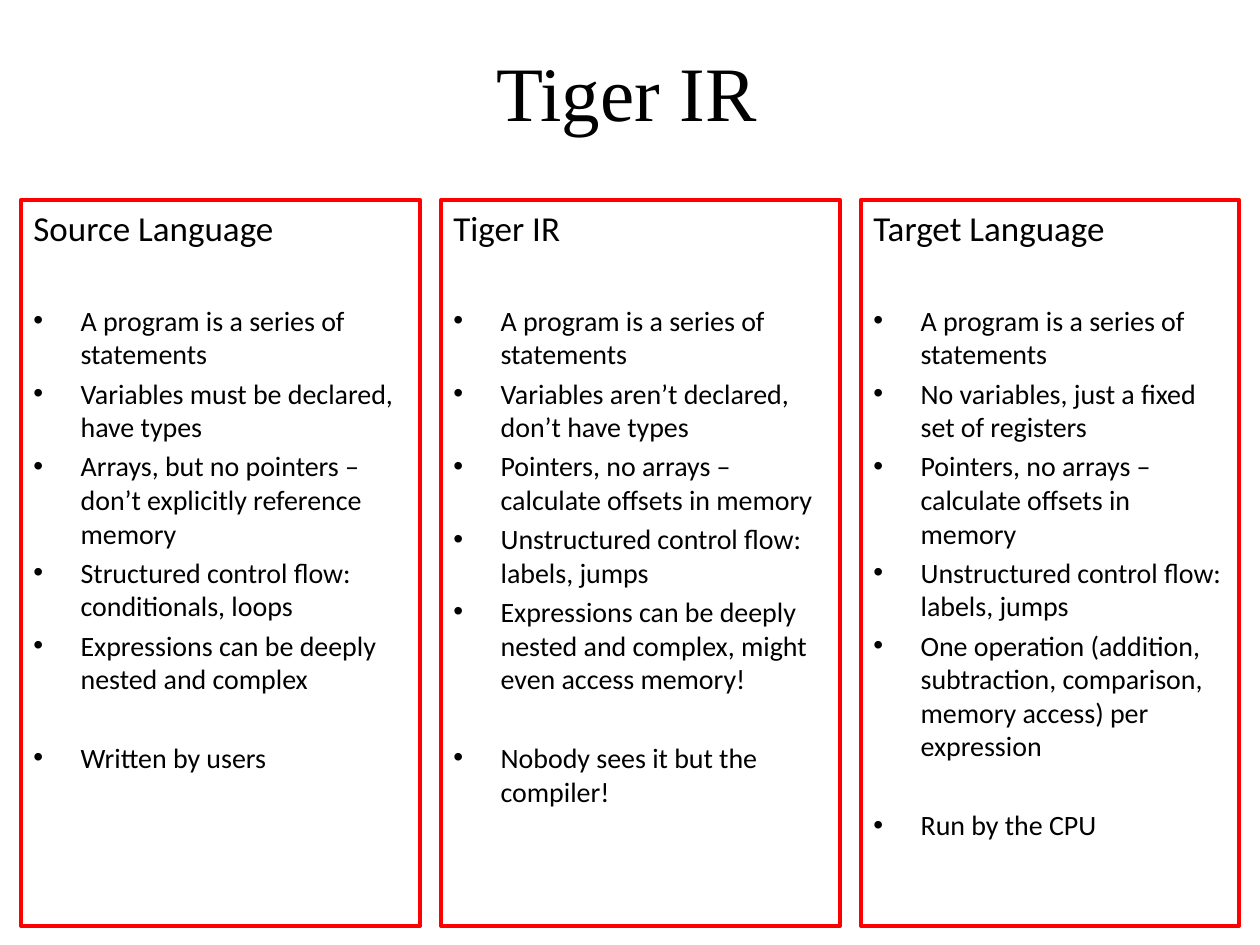
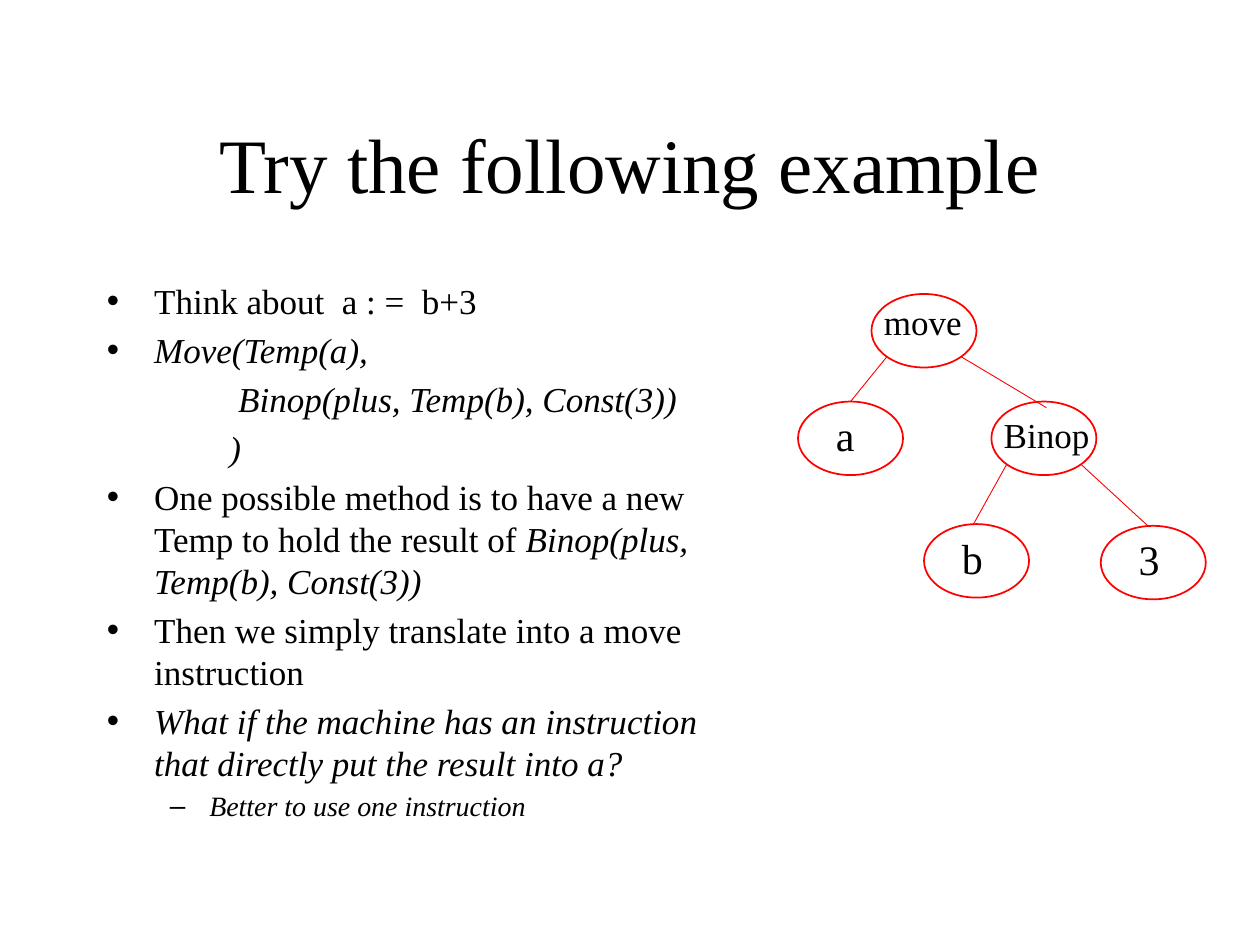
from dataclasses import dataclass

from lxml import etree
from pptx import Presentation
from pptx.dml.color import RGBColor
from pptx.enum import shapes, text
from pptx.oxml import ns
from pptx.util import Pt


@dataclass(frozen=True)
class Theme:
    ink: RGBColor = RGBColor(0, 0, 0)
    accent: RGBColor = RGBColor(255, 0, 0)
    serif: str = "Times New Roman"
    sans: str = "Calibri"
    title_size: int = 44
    letter_size: int = 24
    body_size: int = 20
    small_size: int = 16
    frame_width: float = 2.25
    oval_width: float = 1
    edge_width: float = 0.5


@dataclass(frozen=True)
class Line:
    """One paragraph; parts between asterisks are italic."""
    content: str
    size: int
    bullet: str = ""
    margin: float = 0
    hanging: float = 0
    before: float = 0


THEME = Theme()
OVAL_WIDTH, OVAL_HEIGHT = 60, 42


class SlideBuilder:
    def __init__(self, presentation, theme):
        self.presentation = presentation
        self.theme = theme
        self.slide = None

    def new_slide(self, title, left, top):
        self.slide = self.presentation.slides.add_slide(self.presentation.slide_layouts[6])
        frame = self.text_box(left, top, 612, 90)
        frame.vertical_anchor = text.MSO_ANCHOR.MIDDLE
        self.fill_text(frame, [Line(title, self.theme.title_size)], self.theme.serif)
        frame.paragraphs[0].alignment = text.PP_ALIGN.CENTER

    def text_box(self, left, top, width, height, wrap=True):
        box = self.slide.shapes.add_textbox(Pt(left), Pt(top), Pt(width), Pt(height))
        box.text_frame.word_wrap = wrap
        return box.text_frame

    def outline(self, kind, left, top, width, height, line_width):
        shape = self.slide.shapes.add_shape(kind, Pt(left), Pt(top), Pt(width), Pt(height))
        shape.shadow.inherit = False
        shape.fill.background()
        shape.line.color.rgb = self.theme.accent
        shape.line.width = Pt(line_width)
        return shape

    def fill_text(self, frame, lines, font_name, leading=None):
        """Fill a text frame; leading is the line height as a multiple of the type size."""
        for index, line in enumerate(lines):
            paragraph = frame.add_paragraph() if index else frame.paragraphs[0]
            paragraph.alignment = text.PP_ALIGN.LEFT
            paragraph.space_before = Pt(line.before)
            if leading:
                paragraph.line_spacing = Pt(leading * line.size)
            self.indent(paragraph, line)
            for position, part in enumerate(line.content.split("*")):
                if not part:
                    continue
                run = paragraph.add_run()
                run.text = part
                run.font.name = font_name
                run.font.size = Pt(line.size)
                run.font.italic = position % 2 == 1
                run.font.color.rgb = self.theme.ink

    def indent(self, paragraph, line):
        properties = paragraph._p.get_or_add_pPr()
        properties.set("marL", str(Pt(line.margin)))
        properties.set("indent", str(-Pt(line.hanging)))
        if line.bullet:
            etree.SubElement(properties, ns.qn("a:buFont")).set("typeface", "Arial")
            etree.SubElement(properties, ns.qn("a:buChar")).set("char", line.bullet)

    def column(self, left, width, heading, points, closing):
        """Framed list with a heading and a closing point set apart from the rest."""
        shape = self.outline(shapes.MSO_SHAPE.RECTANGLE, left, 114.25, width, 415,
                             self.theme.frame_width)
        shape.text_frame.word_wrap = True
        shape.text_frame.vertical_anchor = text.MSO_ANCHOR.TOP
        gaps = [31.6] + [3.2] * (len(points) - 1) + [25.9]
        lines = [Line(heading, self.theme.body_size)]
        lines += [bullet(point, self.theme.small_size, gap)
                  for point, gap in zip(points + [closing], gaps)]
        self.fill_text(shape.text_frame, lines, self.theme.sans)

    def node(self, label, left, top, size, label_box):
        """Tree node; label_box is the label's offset and size within the oval."""
        self.outline(shapes.MSO_SHAPE.OVAL, left, top, OVAL_WIDTH, OVAL_HEIGHT,
                     self.theme.oval_width)
        shift_x, shift_y, width, height = label_box
        frame = self.text_box(left + shift_x, top + shift_y, width, height, wrap=False)
        self.fill_text(frame, [Line(label, size)], self.theme.serif, 1.2)

    def edge(self, start, end):
        connector = self.slide.shapes.add_connector(
            shapes.MSO_CONNECTOR.STRAIGHT, *(Pt(value) for value in (*start, *end)))
        connector.line.color.rgb = self.theme.accent
        connector.line.width = Pt(self.theme.edge_width)
        etree.SubElement(connector._element.spPr, ns.qn("a:effectLst"))


def bullet(content, size, before=4):
    return Line(content, size, "•", 27, 27, before)


def lower_corner(left, top, side):
    """Point on an oval's outline at its lower left (-1) or lower right (1) diagonal."""
    reach = 0.5 ** 0.5
    return (left + OVAL_WIDTH / 2 * (1 + side * reach), top + OVAL_HEIGHT / 2 * (1 + reach))


def build_comparison(builder):
    builder.new_slide("Tiger IR", 52, 7)
    columns = [
        (228, "Source Language", [
            "A program is a series of statements",
            "Variables must be declared, have types",
            "Arrays, but no pointers – don’t explicitly reference memory",
            "Structured control flow: conditionals, loops",
            "Expressions can be deeply nested and complex",
        ], "Written by users"),
        (228, "Tiger IR", [
            "A program is a series of statements",
            "Variables aren’t declared, don’t have types",
            "Pointers, no arrays – calculate offsets in memory",
            "Unstructured control flow: labels, jumps",
            "Expressions can be deeply nested and complex, might even access memory!",
        ], "Nobody sees it but the compiler!"),
        (216, "Target Language", [
            "A program is a series of statements",
            "No variables, just a fixed set of registers",
            "Pointers, no arrays – calculate offsets in memory",
            "Unstructured control flow: labels, jumps",
            "One operation (addition, subtraction, comparison, memory access) per expression",
        ], "Run by the CPU"),
    ]
    for index, column in enumerate(columns):
        builder.column(12 + 240 * index, *column)


def build_example(builder):
    theme = builder.theme
    size = theme.body_size
    builder.new_slide("Try the following example", 54, 48)
    lines = [
        bullet("Think about  a : =  b+3", size, 0),
        bullet("*Move(Temp(a),*", size),
        Line("*Binop(plus, Temp(b), Const(3))*", size, margin=75, before=4),
        Line("*)*", size, margin=70, before=4),
        bullet("One possible method is to have a new Temp to hold the result of "
               "*Binop(plus, Temp(b), Const(3))*", size),
        bullet("Then we simply translate into a move instruction", size),
        bullet("*What if the machine has an instruction that directly put the result "
               "into a?*", size),
        Line("*Better to use one instruction*", theme.small_size, "–", 58.5, 22.5, 3.2),
    ]
    builder.fill_text(builder.text_box(54, 156, 384, 324), lines, theme.serif, 1.2)

    move, binop = (498, 168), (566.5, 229.5)
    letter_box = (14.5, 1, 26, 36)
    builder.node("move", *move, size, (0, 0, 59, 32))
    builder.node("a", 456, 229.5, theme.letter_size, letter_box)
    builder.node("Binop", *binop, size, (0, 3.5, 64, 32))
    builder.node("b", 528, 299.5, theme.letter_size, letter_box)
    builder.node("3", 629, 300.5, theme.letter_size, letter_box)
    for parent, side, end in [(move, -1, (486, 229.5)), (move, 1, (598, 233)),
                              (binop, -1, (556, 300)), (binop, 1, (656.5, 301))]:
        builder.edge(lower_corner(*parent, side), end)


def main():
    presentation = Presentation()
    presentation.slide_width, presentation.slide_height = Pt(720), Pt(540)
    builder = SlideBuilder(presentation, THEME)
    build_comparison(builder)
    build_example(builder)
    presentation.save("out.pptx")


if __name__ == "__main__":
    main()
